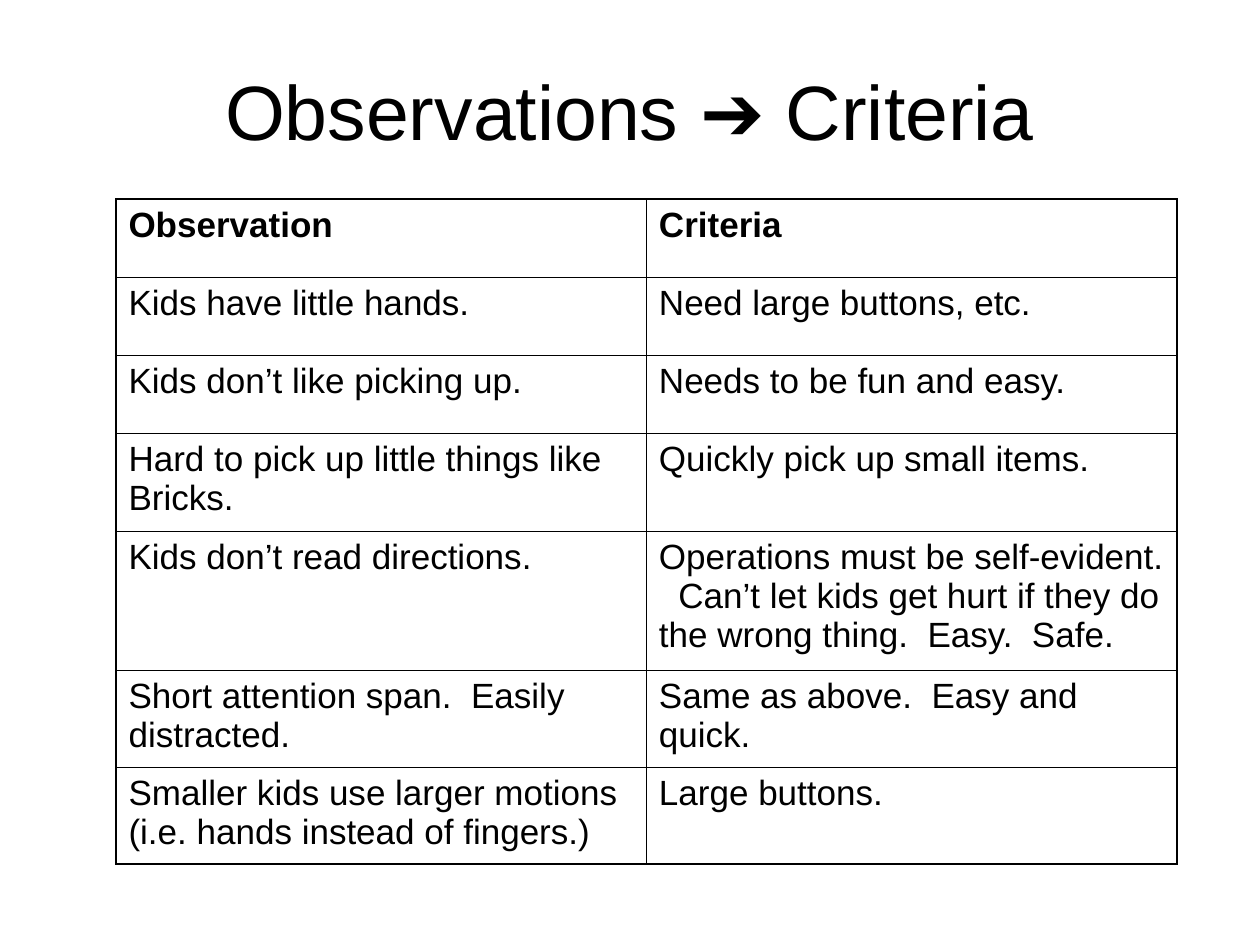
from lxml import etree
from pptx import Presentation
from pptx.dml.color import RGBColor
from pptx.enum.text import MSO_ANCHOR, PP_ALIGN
from pptx.oxml.ns import qn
from pptx.util import Inches, Pt

CENTER = PP_ALIGN.CENTER
LEFT = PP_ALIGN.LEFT
MIDDLE = MSO_ANCHOR.MIDDLE
COLORS = {"ink": "000000", "paper": "FFFFFF"}
FONT = "Arial"
OUTER_LINE = 1.08
INNER_LINE = 0.45
COLUMN_WIDTHS = [4.21, 4.21]
ROW_HEIGHTS = [0.62, 0.62, 0.62, 0.78, 1.1, 0.77, 0.77]
ROWS = [
    ("Observation", "Criteria"),
    ("Kids have little hands.", "Need large buttons, etc."),
    ("Kids don’t like picking up.", "Needs to be fun and easy."),
    ("Hard to pick up little things like Bricks.", "Quickly pick up small items."),
    (
        "Kids don’t read directions.",
        "Operations must be self-evident.   Can’t let kids get hurt if they do "
        "the wrong thing.  Easy.  Safe.",
    ),
    ("Short attention span.  Easily distracted.", "Same as above.  Easy and quick."),
    (
        "Smaller kids use larger motions (i.e. hands instead of fingers.)",
        "Large buttons.",
    ),
]


class SlideBuilder:
    def __init__(self, slide):
        self.slide = slide
        background = slide.background.fill
        background.solid()
        background.fore_color.rgb = RGBColor.from_string(COLORS["paper"])

    def fill_text(self, frame, text, size, bold=False, align=LEFT, space_before=0):
        frame.word_wrap = True
        para = frame.paragraphs[0]
        para.alignment = align
        para.space_before = Pt(space_before)
        span = para.add_run()
        span.text = text
        font_format = {"name": FONT, "size": Pt(size), "bold": bold}
        for name, value in font_format.items():
            setattr(span.font, name, value)
        span.font.color.rgb = RGBColor.from_string(COLORS["ink"])

    def title(self, text, left, top, width, height):
        box = self.slide.shapes.add_textbox(
            Inches(left), Inches(top), Inches(width), Inches(height)
        )
        box.text_frame.vertical_anchor = MIDDLE
        self.fill_text(box.text_frame, text, 44, align=CENTER)

    def border(self, cell, outer_sides):
        properties = cell._tc.get_or_add_tcPr()
        for position, side in enumerate(("lnL", "lnR", "lnT", "lnB")):
            width = OUTER_LINE if side in outer_sides else INNER_LINE
            line = etree.Element(qn(f"a:{side}"), w=str(Pt(width)))
            fill = etree.SubElement(line, qn("a:solidFill"))
            etree.SubElement(fill, qn("a:srgbClr"), val=COLORS["ink"])
            properties.insert(position, line)

    def table(self, rows, left, top, widths, heights):
        table = self.slide.shapes.add_table(
            len(rows), len(widths), Inches(left), Inches(top),
            Inches(sum(widths)), Inches(sum(heights)),
        ).table
        table.first_row = False
        table.horz_banding = False
        for column, width in zip(table.columns, widths):
            column.width = Inches(width)
        for row, height in zip(table.rows, heights):
            row.height = Inches(height)
        for r, texts in enumerate(rows):
            for c, text in enumerate(texts):
                cell = table.cell(r, c)
                cell.fill.background()
                edges = {
                    "lnL": c == 0,
                    "lnR": c == len(widths) - 1,
                    "lnT": r == 0,
                    "lnB": r == len(rows) - 1,
                }
                self.border(cell, [side for side, outer in edges.items() if outer])
                self.fill_text(cell.text_frame, text, 20, bold=r == 0, space_before=5)


def main():
    deck = Presentation()
    deck.slide_width = Inches(10)
    deck.slide_height = Inches(7.5)
    page = SlideBuilder(deck.slides.add_slide(deck.slide_layouts[6]))
    page.title("Observations ➔ Criteria", 0.75, 0.41, 8.5, 0.92)
    page.table(ROWS, 0.92, 1.58, COLUMN_WIDTHS, ROW_HEIGHTS)
    deck.save("out.pptx")


if __name__ == "__main__":
    main()
